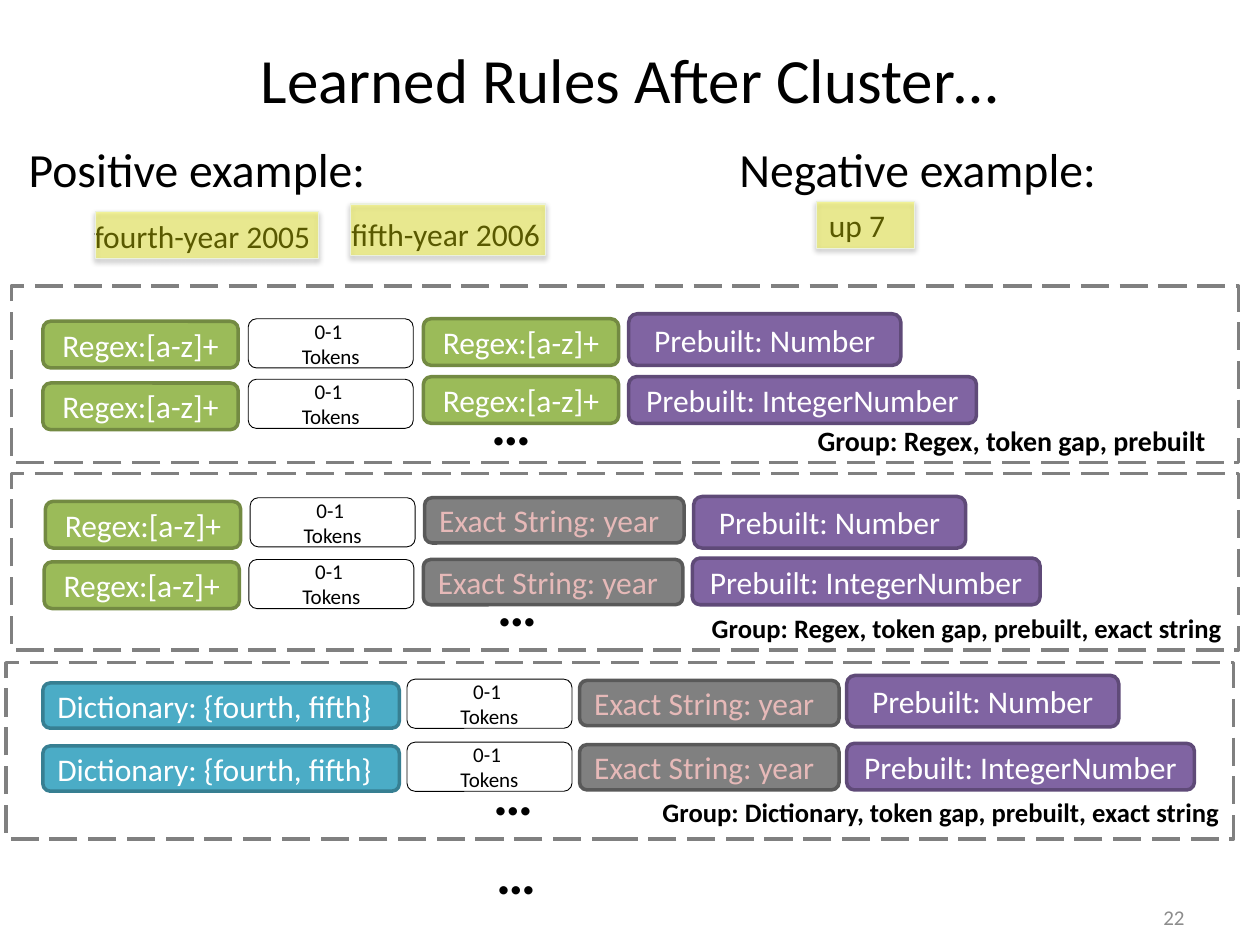
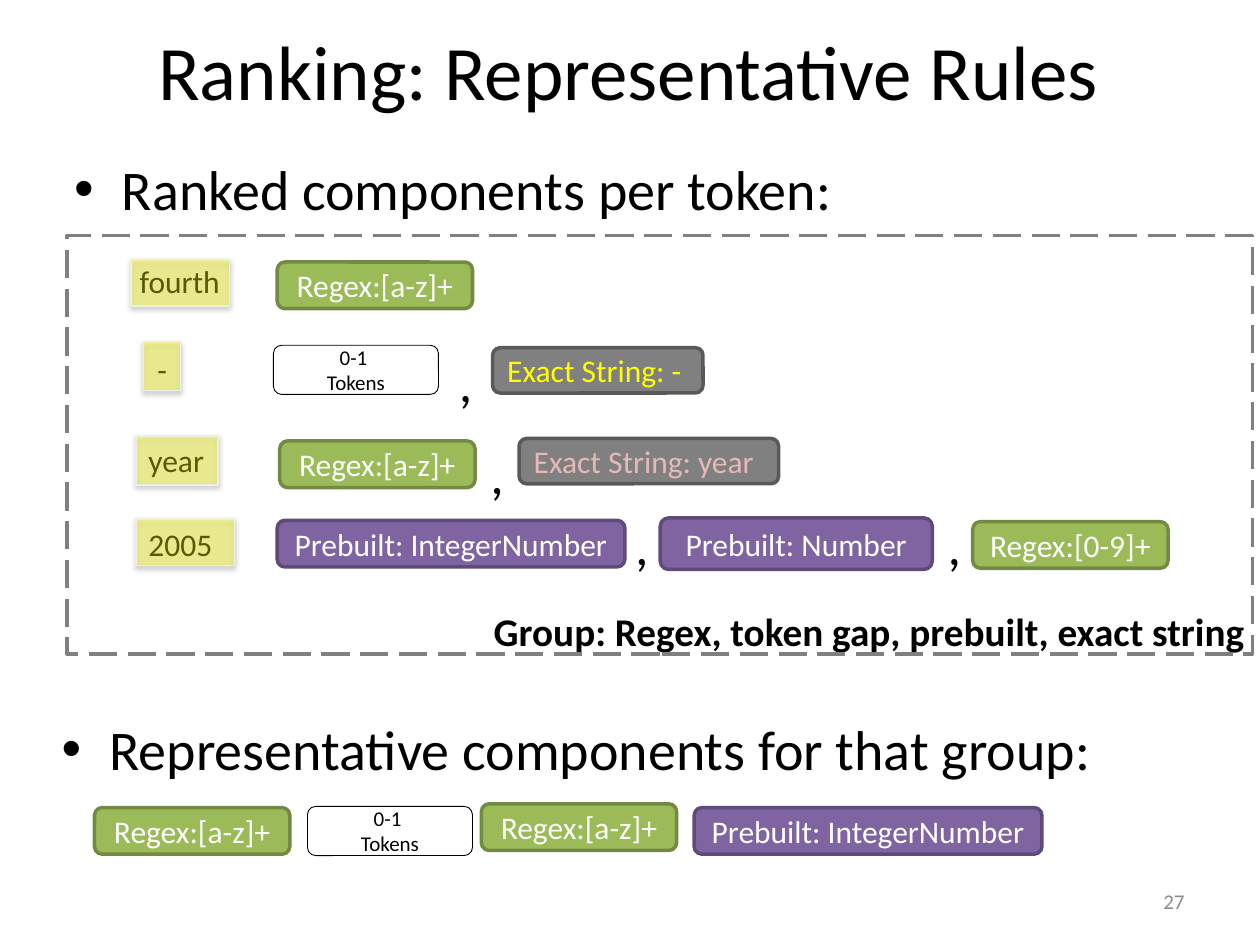
"""Build two slides on learned and ranked extraction rules."""
import dataclasses
import typing

import lxml.etree
import pptx
import pptx.dml.color
import pptx.enum.dml
import pptx.enum.shapes
import pptx.enum.text
import pptx.oxml.ns
import pptx.util

COLUMNS, ROWS = 100, 75
CELL = pptx.util.Inches(0.1)
FONT = "Calibri"
COLORS = {
    "black": "000000", "white": "FFFFFF", "muted": "8C8C8C", "gray": "808080",
    "gray edge": "595959", "green": "9BBB59", "green edge": "738A42",
    "purple": "8064A2", "purple edge": "5F4A78", "teal": "4BACC6",
    "teal edge": "377F92", "pink": "E6B9B8", "yellow": "FFFF00", "pale": "EBF1DE",
}
ALIGN = pptx.enum.text.PP_ALIGN
ANCHOR = pptx.enum.text.MSO_ANCHOR
SHAPE = pptx.enum.shapes.MSO_SHAPE
Slide = pptx.slide.Slide


class Area(typing.NamedTuple):
    left: float
    top: float
    width: float
    height: float


@dataclasses.dataclass(frozen=True)
class Look:
    size: float
    color: str = "black"
    bold: bool = False
    align: ALIGN = ALIGN.LEFT
    anchor: ANCHOR = ANCHOR.TOP


@dataclasses.dataclass(frozen=True)
class ChipKind:
    text: str
    width: float
    height: float
    fill: str
    edge: str
    look: Look
    edge_points: float = 2


class ChipRow(typing.NamedTuple):
    left: float
    gap: float
    middles: tuple[float, ...]


class Chip(typing.NamedTuple):
    kind: str
    left: float
    middle: float


class Tag(typing.NamedTuple):
    text: str
    area: Area
    text_left: float
    text_middle: float


@dataclasses.dataclass(frozen=True)
class RuleGroup:
    corner: tuple[float, float]
    label: str
    label_corner: tuple[float, float]
    label_size: float
    ellipsis_corner: tuple[float, float]
    leading_kinds: tuple[str, ...]
    rows: tuple[ChipRow, ChipRow]


TITLE_ALIGNMENT = {"align": ALIGN.CENTER, "anchor": ANCHOR.MIDDLE}
CHIP_CENTER = Look(18, "white", **TITLE_ALIGNMENT)
CHIP_LEFT = Look(18, "white", anchor=ANCHOR.MIDDLE)
EXACT = Look(18, "pink", anchor=ANCHOR.MIDDLE)
EXACT_MARK = Look(18, "yellow", anchor=ANCHOR.MIDDLE)
GAP_LOOK = Look(12, **TITLE_ALIGNMENT)
TAG_LOOK = Look(18, anchor=ANCHOR.MIDDLE)
NUMBER_LOOK = Look(12, "muted", align=ALIGN.RIGHT, anchor=ANCHOR.MIDDLE)
COMMA_LOOK = Look(30.8, **TITLE_ALIGNMENT)
ELLIPSIS_LOOK = Look(32, bold=True)
HEADING_LOOK = Look(27.2)
BULLET_LOOK = Look(32)

CHIPS = {
    "regex": ChipKind("Regex:[a-z]+", 15.5, 3.7, "green", "green edge", CHIP_CENTER),
    "digits": ChipKind("Regex:[0-9]+", 15.5, 3.7, "green", "green edge", CHIP_CENTER),
    "gap": ChipKind("0-1 \nTokens", 13.1, 3.9, "white", "black", GAP_LOOK, 0.5),
    "number": ChipKind("Prebuilt: Number", 21.6, 4.1, "purple", "purple edge", CHIP_CENTER),
    "integer": ChipKind("Prebuilt: IntegerNumber", 27.6, 3.7, "purple", "purple edge", CHIP_CENTER),
    "year": ChipKind("Exact String: year", 20.6, 3.6, "gray", "gray edge", EXACT),
    "hyphen": ChipKind("Exact String: -", 16.7, 3.6, "gray", "gray edge", EXACT_MARK),
    "dictionary": ChipKind("Dictionary: {fourth, fifth}", 28.3, 3.6, "teal", "teal edge", CHIP_LEFT),
}

RULE_GROUPS = (
    RuleGroup((0.9, 22.7), "Group: Regex, token gap, prebuilt", (63.9, 33.1), 16,
              (38, 30.4), ("regex", "gap", "regex"),
              (ChipRow(3.4, 0.8, (27.35, 27.25, 27.15, 26.95)),
               ChipRow(3.4, 0.8, (32.25, 32.05, 31.75, 31.75)))),
    RuleGroup((0.9, 37.6), "Group: Regex, token gap, prebuilt, exact string", (55.5, 48.1), 15.2,
              (38.5, 44.8), ("regex", "gap", "year"),
              (ChipRow(3.6, 0.75, (41.65, 41.45, 41.3, 41.45)),
               ChipRow(3.5, 0.75, (46.45, 46.35, 46.2, 46.15)))),
    RuleGroup((0.5, 52.6), "Group: Dictionary, token gap, prebuilt, exact string", (51.6, 62.7), 15.2,
              (38.2, 59.8), ("dictionary", "gap", "year"),
              (ChipRow(3.4, 0.6, (56, 55.85, 55.8, 55.65)),
               ChipRow(3.4, 0.6, (61, 60.85, 60.9, 60.85)))),
)
EXAMPLE_TAGS = (
    Tag("fifth-year 2006", Area(27.8, 16.2, 15.5, 4.1), 26.9, 18.55),
    Tag("fourth-year 2005", Area(7.6, 16.8, 17.7, 3.7), 6.5, 18.75),
    Tag("up 7", Area(64.8, 16, 7.8, 3.7), 64.8, 17.85),
)
TOKEN_TAGS = (
    Tag("fourth", Area(10.4, 20.6, 7.8, 3.7), 10.1, 22.3),
    Tag("-", Area(11.4, 27.1, 2.9, 3.9), 11.5, 29.3),
    Tag("year", Area(10.8, 34.6, 6.5, 3.9), 10.8, 36.5),
    Tag("2005", Area(10.8, 41.2, 7.8, 3.7), 10.8, 43.2),
)
TOKEN_CHIPS = (
    Chip("regex", 22, 22.65),
    Chip("gap", 21.7, 29.35), Chip("hyphen", 39.1, 29.4),
    Chip("regex", 22.2, 36.85), Chip("year", 41.2, 36.6),
    Chip("integer", 22, 43.15), Chip("number", 52.4, 43.15), Chip("digits", 77.2, 43.25),
)
REPRESENTATIVE_CHIPS = (
    Chip("regex", 7.5, 65.95), Chip("gap", 24.4, 65.95),
    Chip("regex", 38.2, 65.65), Chip("integer", 55.1, 65.95),
)
COMMA_CORNERS = ((34.6, 27.6), (37.1, 34.9), (48.6, 40.6), (73.4, 40.6))


def rgb(name: str) -> pptx.dml.color.RGBColor:
    """Look up a named colour."""
    return pptx.dml.color.RGBColor.from_string(COLORS[name])


def grid(area: Area) -> list[int]:
    """Turn columns and rows into slide lengths."""
    return [round(length * CELL) for length in area]


def write(shape: pptx.shapes.autoshape.Shape, text: str, look: Look) -> None:
    """Fill a shape with paragraphs of one look."""
    frame = shape.text_frame
    frame.word_wrap = True
    frame.vertical_anchor = look.anchor
    frame.text = text
    for paragraph in frame.paragraphs:
        paragraph.alignment = look.align
        font = paragraph.font
        font.name, font.size, font.bold = FONT, pptx.util.Pt(look.size), look.bold
        font.color.rgb = rgb(look.color)


def add_text(slide: Slide, area: Area, text: str, look: Look) -> pptx.shapes.autoshape.Shape:
    """Place a text box on the grid."""
    box = slide.shapes.add_textbox(*grid(area))
    write(box, text, look)
    if look.align == ALIGN.LEFT:
        box.text_frame.margin_right = 0
    return box


def add_bullet(slide: Slide, area: Area, text: str) -> None:
    """Place a bulleted line."""
    box = add_text(slide, area, text, BULLET_LOOK)
    properties = box.text_frame.paragraphs[0]._p.get_or_add_pPr()
    indent = pptx.util.Inches(0.38)
    properties.set("marL", str(indent))
    properties.set("indent", str(-indent))
    bullet = lxml.etree.Element(pptx.oxml.ns.qn("a:buChar"), char="•")
    font = lxml.etree.Element(pptx.oxml.ns.qn("a:buFont"), typeface="Arial")
    properties.insert(0, font)
    properties.insert(1, bullet)


def add_outline(slide: Slide, preset: SHAPE, area: Area, edge: str,
                points: float, fill: str | None = None) -> pptx.shapes.autoshape.Shape:
    """Place a flat preset shape."""
    shape = slide.shapes.add_shape(preset, *grid(area))
    shape.shadow.inherit = False
    if fill:
        shape.fill.solid()
        shape.fill.fore_color.rgb = rgb(fill)
    else:
        shape.fill.background()
    shape.line.color.rgb = rgb(edge)
    shape.line.width = pptx.util.Pt(points)
    return shape


def add_panel(slide: Slide, area: Area) -> None:
    """Draw a dashed frame around a group."""
    panel = add_outline(slide, SHAPE.RECTANGLE, area, "gray", 2)
    panel.line.dash_style = pptx.enum.dml.MSO_LINE.LONG_DASH


def add_chip(slide: Slide, chip: Chip) -> None:
    """Draw a rule component centred on its row."""
    kind = CHIPS[chip.kind]
    area = Area(chip.left, chip.middle - kind.height / 2, kind.width, kind.height)
    shape = add_outline(slide, SHAPE.FLOWCHART_ALTERNATE_PROCESS, area,
                        kind.edge, kind.edge_points, kind.fill)
    write(shape, kind.text, kind.look)


def add_tag(slide: Slide, tag: Tag) -> None:
    """Draw example text under a translucent highlight."""
    add_text(slide, Area(tag.text_left, tag.text_middle - 2, tag.area.width + 3, 4), tag.text, TAG_LOOK)
    marker = add_outline(slide, SHAPE.FLOWCHART_PROCESS, tag.area, "pale", 0.75, "yellow")
    name = pptx.oxml.ns.qn
    fill_color = next(marker._element.iter(name("a:srgbClr")))
    lxml.etree.SubElement(fill_color, name("a:alpha"), val="35000")
    effects = next(marker._element.iter(name("a:effectLst")))
    shadow = lxml.etree.SubElement(
        effects, name("a:outerShdw"), blurRad=str(pptx.util.Pt(3.1)),
        dist=str(pptx.util.Pt(1.6)), dir="5400000", rotWithShape="0")
    shadow_color = lxml.etree.SubElement(shadow, name("a:srgbClr"), val=COLORS["black"])
    lxml.etree.SubElement(shadow_color, name("a:alpha"), val="38000")


def add_label(slide: Slide, corner: tuple[float, float], text: str, size: float) -> None:
    """Write a bold group label reaching to the slide's edge."""
    left, top = corner
    add_text(slide, Area(left, top, COLUMNS - left, size / 4 + 0.2), text, Look(size, bold=True))


def add_ellipsis(slide: Slide, corner: tuple[float, float]) -> None:
    """Mark that more rules follow."""
    add_text(slide, Area(*corner, 6.4, 7), "…", ELLIPSIS_LOOK)


def add_group(slide: Slide, group: RuleGroup) -> None:
    """Draw a framed group of two rules."""
    for row, last_kind in zip(group.rows, ("number", "integer")):
        left = row.left
        for kind, middle in zip((*group.leading_kinds, last_kind), row.middles):
            add_chip(slide, Chip(kind, left, middle))
            left += CHIPS[kind].width + row.gap
    add_panel(slide, Area(*group.corner, 97.4, 14))
    add_ellipsis(slide, group.ellipsis_corner)
    add_label(slide, group.label_corner, group.label, group.label_size)


def add_page(deck: pptx.presentation.Presentation, title: str, title_size: float,
             title_corner: tuple[float, float], number: str, number_top: float) -> Slide:
    """Start a slide with its title and number."""
    page = deck.slides.add_slide(deck.slide_layouts[6])
    add_text(page, Area(*title_corner, 90, 12.5), title, Look(title_size, **TITLE_ALIGNMENT))
    add_text(page, Area(71.7, number_top, 23.3, 4), number, NUMBER_LOOK)
    return page


def build_learned_rules(deck: pptx.presentation.Presentation) -> None:
    """Build the slide of clustered rules."""
    page = add_page(deck, "Learned Rules After Cluster…", 36, (5, 0), "22", 70.8)
    for left, sign in ((1.3, "Positive"), (57.7, "Negative")):
        add_text(page, Area(left, 10.6, 42.3, 4.9), f"{sign} example:", HEADING_LOOK)
    for tag in EXAMPLE_TAGS:
        add_tag(page, tag)
    for group in RULE_GROUPS:
        add_group(page, group)
    add_ellipsis(page, (38.4, 66.1))


def build_ranking(deck: pptx.presentation.Presentation) -> None:
    """Build the slide of ranked components."""
    page = add_page(deck, "Ranking: Representative Rules", 44, (4.9, -0.7), "27", 69.5)
    add_bullet(page, Area(4.9, 11.8, 90, 7.2), "Ranked components per token:")
    add_bullet(page, Area(3.9, 56.2, 94.1, 7.7), "Representative components for that group:")
    add_label(page, (38.2, 47.7), RULE_GROUPS[1].label, 22.4)
    add_panel(page, Area(5.3, 18.7, 94.1, 33.2))
    for tag in TOKEN_TAGS:
        add_tag(page, tag)
    for chip in TOKEN_CHIPS + REPRESENTATIVE_CHIPS:
        add_chip(page, chip)
    for corner in COMMA_CORNERS:
        add_text(page, Area(*corner, 4.7, 5.2), ",", COMMA_LOOK)


def main() -> None:
    """Build and save the deck."""
    deck = pptx.Presentation()
    deck.slide_width, deck.slide_height = COLUMNS * CELL, ROWS * CELL
    build_learned_rules(deck)
    build_ranking(deck)
    deck.save("out.pptx")


if __name__ == "__main__":
    main()
